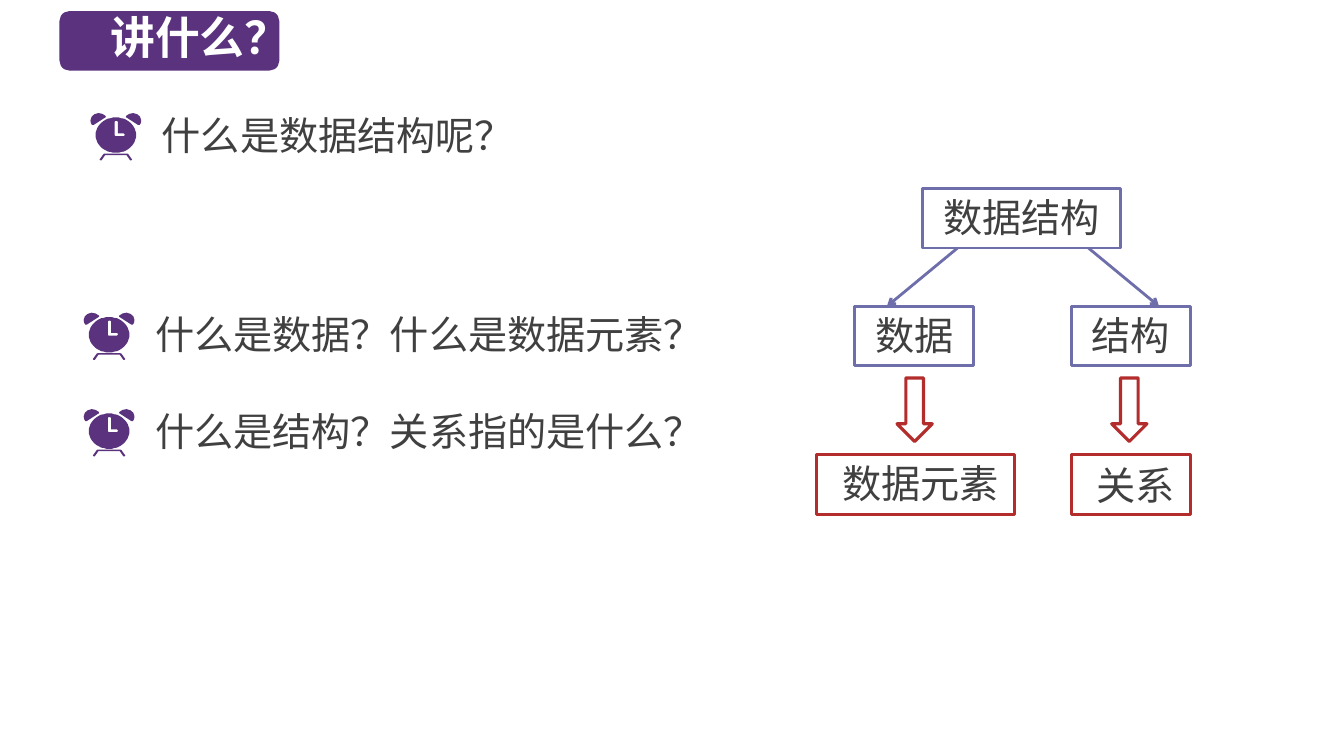
from dataclasses import dataclass
from math import cos, pi, sin

from lxml import etree
from pptx import Presentation
from pptx.dml.color import RGBColor
from pptx.enum.shapes import MSO_CONNECTOR, MSO_SHAPE
from pptx.enum.text import MSO_ANCHOR, PP_ALIGN
from pptx.oxml.ns import qn
from pptx.util import Cm, Pt

RECTANGLE = MSO_SHAPE.RECTANGLE
ROUNDED = MSO_SHAPE.ROUNDED_RECTANGLE
RIGHT_ARROW = MSO_SHAPE.RIGHT_ARROW
STRAIGHT = MSO_CONNECTOR.STRAIGHT
LEFT, CENTER = PP_ALIGN.LEFT, PP_ALIGN.CENTER
TOP, MIDDLE = MSO_ANCHOR.TOP, MSO_ANCHOR.MIDDLE

FONT = "Noto Sans CJK SC"
COLORS = {
    "purple": "5A327D",
    "blue": "6E6EAA",
    "red": "B42D2D",
    "text": "404040",
    "white": "FFFFFF",
}
NODE_HEIGHT = 1.5

# Clock outlines, in hundredths of a centimetre
CLOCK_WIDTH = 128
BELL = [(20, 0), (10, 3), (3, 9), (0, 18), (1, 25), (4, 30), (8, 30),
        (39, 10), (38, 7), (30, 2)]
STAND = [(23, 117), (33, 103), (36, 102), (92, 102), (95, 103), (105, 117),
         (103, 119), (100, 119), (91, 106), (37, 106), (28, 119), (25, 119)]
FACE = [(64 + 51 * cos(step * pi / 24), 55.5 + 44.5 * sin(step * pi / 24))
        for step in range(48)]
HANDS = [(61, 22), (63, 20), (67, 20), (69, 22), (69, 51), (84, 51),
         (86, 53), (86, 56), (84, 58), (63, 58), (61, 56)]


@dataclass
class Question:
    text: str
    left: float
    top: float
    width: float


@dataclass
class Node:
    text: str
    left: float
    top: float
    width: float
    color: str
    right_inset: float = 0.25
    anchor: MSO_ANCHOR = TOP


@dataclass
class Branch:
    start_x: float
    end_x: float


QUESTIONS = [
    Question("什么是数据结构呢？", 2.28, 2.67, 10.64),
    Question("什么是数据？什么是数据元素？", 2.11, 7.7, 14.3),
    Question("什么是结构？关系指的是什么？", 2.11, 10.13, 14.68),
]
NODES = [
    Node("数据结构", 23.24, 4.75, 5, "blue"),
    Node("数据", 21.54, 7.72, 3, "blue"),
    Node("结构", 27, 7.72, 3, "blue"),
    Node("数据元素", 20.57, 11.46, 5, "red", right_inset=0),
    Node("关系", 27, 11.46, 3, "red", right_inset=0, anchor=MIDDLE),
]
BRANCHES = [Branch(24.13, 22.35), Branch(27.43, 29.21)]
ARROW_LEFTS = [22.25, 27.66]


def rgb(name: str) -> RGBColor:
    return RGBColor.from_string(COLORS[name])


def write(shape, text: str, *, size: float = 28, color: str = "text",
          bold: bool = False, align: PP_ALIGN = LEFT,
          anchor: MSO_ANCHOR = TOP, right_inset: float = 0.25) -> None:
    frame = shape.text_frame
    frame.word_wrap = True
    frame.vertical_anchor = anchor
    frame.margin_right = Cm(right_inset)
    para = frame.paragraphs[0]
    para.alignment = align
    span = para.add_run()
    span.text = text
    span.font.size = Pt(size)
    span.font.bold = bold
    span.font.name = FONT
    span.font.color.rgb = rgb(color)
    east_asian = etree.SubElement(span.font._element, qn("a:ea"))
    east_asian.set("typeface", FONT)


def add_filled(slide, kind, left: float, top: float, width: float,
               height: float, color: str):
    shape = slide.shapes.add_shape(kind, Cm(left), Cm(top), Cm(width), Cm(height))
    paint(shape, color)
    return shape


def paint(shape, color: str) -> None:
    """Give a shape a plain fill without outline or shadow."""
    shape.shadow.inherit = False
    shape.fill.solid()
    shape.fill.fore_color.rgb = rgb(color)
    shape.line.fill.background()


def add_outlined(slide, kind, left: float, top: float, width: float,
                 height: float, color: str):
    shape = slide.shapes.add_shape(kind, Cm(left), Cm(top), Cm(width), Cm(height))
    shape.shadow.inherit = False
    shape.fill.background()
    shape.line.color.rgb = rgb(color)
    shape.line.width = Pt(2.25 if color == "red" else 2)
    return shape


def add_clock(slide, left: float, top: float) -> None:
    mirrored_bell = [(CLOCK_WIDTH - x, y) for x, y in BELL]
    for contours in ([STAND], [BELL], [mirrored_bell], [FACE, HANDS]):
        builder = slide.shapes.build_freeform(*contours[0][0], scale=Cm(0.01))
        builder.add_line_segments(contours[0][1:])
        for hole in contours[1:]:
            builder.move_to(*hole[0])
            builder.add_line_segments(hole[1:])
        paint(builder.convert_to_shape(Cm(left), Cm(top)), "purple")


def add_question(slide, question: Question) -> None:
    box = slide.shapes.add_textbox(Cm(question.left + 1.55), Cm(question.top),
                                   Cm(question.width), Cm(1.45))
    write(box, question.text)
    add_clock(slide, question.left, question.top + 0.18)


def add_node(slide, node: Node) -> None:
    box = add_outlined(slide, RECTANGLE, node.left, node.top, node.width,
                       NODE_HEIGHT, node.color)
    write(box, node.text, align=CENTER, anchor=node.anchor,
          right_inset=node.right_inset)


def add_branch(slide, branch: Branch) -> None:
    line = slide.shapes.add_connector(STRAIGHT, Cm(branch.start_x), Cm(6.25),
                                      Cm(branch.end_x), Cm(7.72))
    line.line.color.rgb = rgb("blue")
    line.line.width = Pt(2)
    etree.SubElement(line.line._get_or_add_ln(), qn("a:tailEnd"), type="arrow")
    etree.SubElement(line._element.spPr, qn("a:effectLst"))


def main() -> None:
    deck = Presentation()
    deck.slide_width, deck.slide_height = Cm(33.87), Cm(19.05)
    page = deck.slides.add_slide(deck.slide_layouts[6])

    for question in QUESTIONS:
        add_question(page, question)
    for node in NODES:
        add_node(page, node)
    for branch in BRANCHES:
        add_branch(page, branch)
    for left in ARROW_LEFTS:
        arrow = add_outlined(page, RIGHT_ARROW, left, 9.88, 1.6, 0.89, "red")
        arrow.rotation = 90

    add_filled(page, ROUNDED, 1.5, 0.28, 5.54, 1.5, "purple")
    title = page.shapes.add_textbox(Cm(2.06), Cm(0.13), Cm(4.83), Cm(1.63))
    write(title, "讲什么？", size=32, color="white", bold=True, align=CENTER)

    deck.save("out.pptx")


if __name__ == "__main__":
    main()
